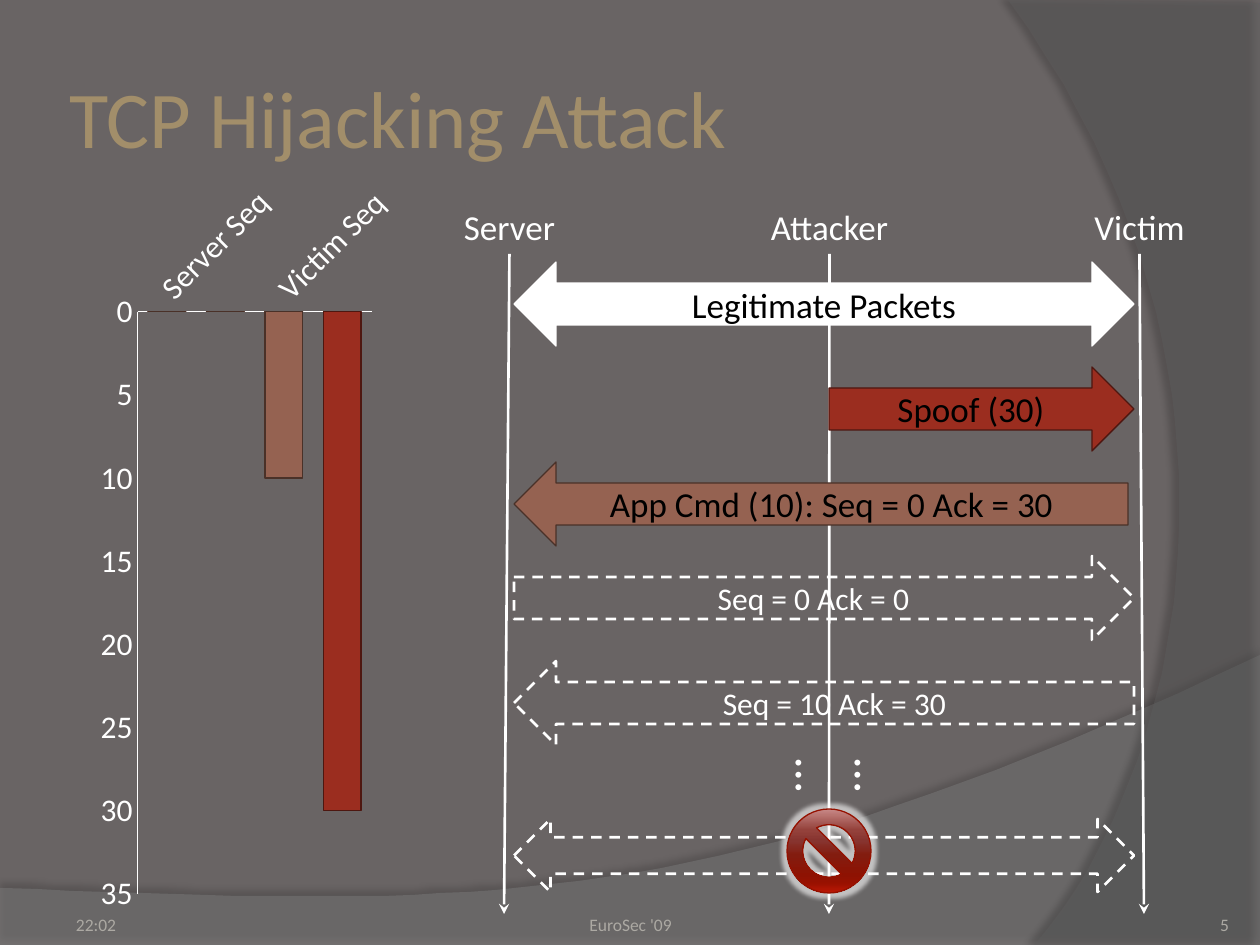
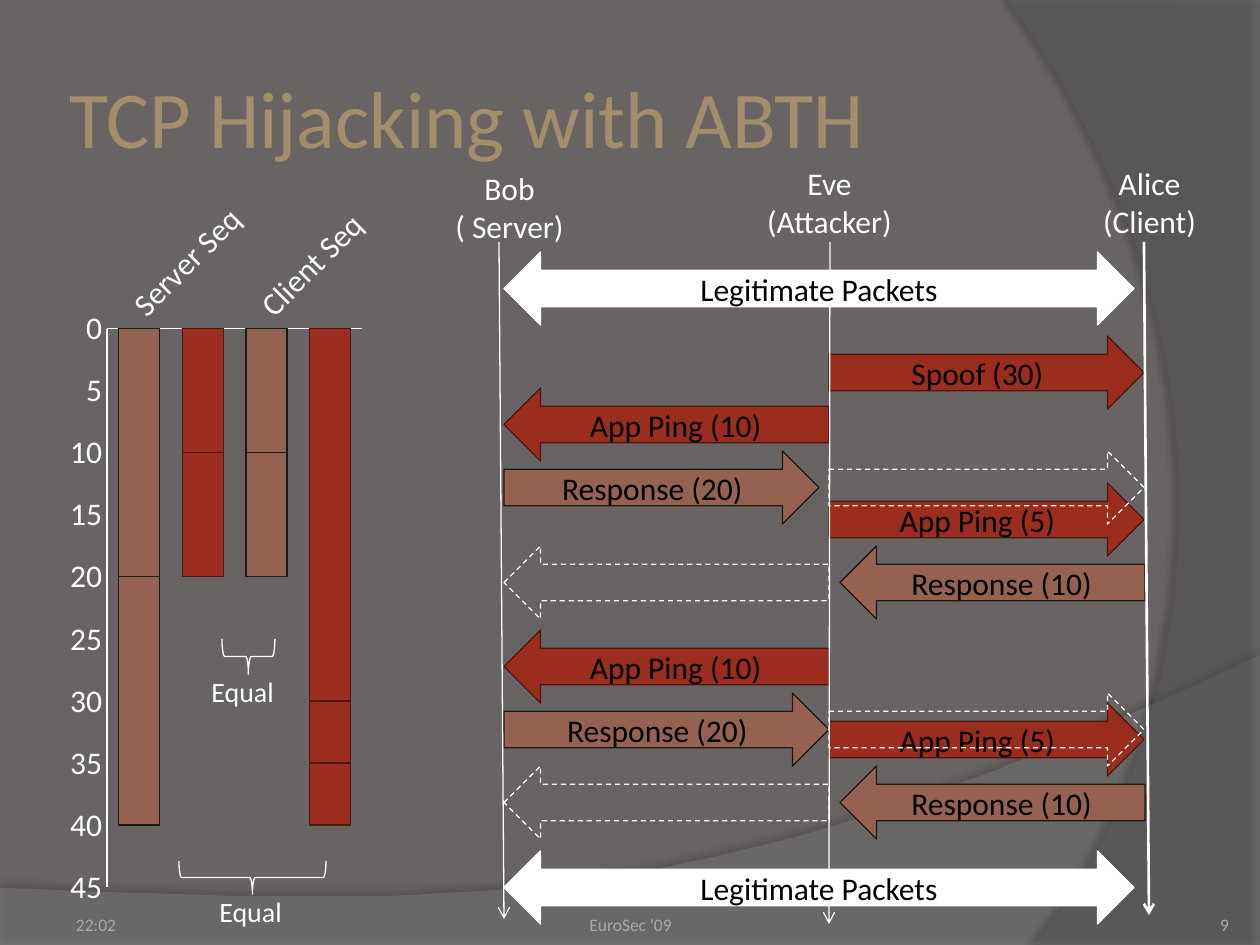
from lxml import etree
from pptx import Presentation
from pptx.chart.data import CategoryChartData as Data
from pptx.dml.color import RGBColor as Rgb
from pptx.enum.chart import XL_CHART_TYPE as Chart, XL_TICK_MARK as Tick
from pptx.enum.dml import MSO_LINE as Dash
from pptx.enum.shapes import MSO_CONNECTOR as Conn, MSO_SHAPE as Geo
from pptx.enum.text import MSO_ANCHOR as Anchor, MSO_AUTO_SIZE as Fit, PP_ALIGN as Align
from pptx.oxml import parse_xml
from pptx.oxml.ns import nsdecls, qn
from pptx.util import Pt

# Scale and shared looks
PX = 914400 / 126
FACE = "Calibri"
WHITE = Rgb(0xFF, 0xFF, 0xFF)
BLACK = Rgb(0x00, 0x00, 0x00)
BACK = Rgb(0x69, 0x64, 0x64)
GOLD = Rgb(0xA2, 0x8E, 0x6A)
GREY = Rgb(0xAC, 0xA9, 0xA3)
LOW = Rgb(0x7F, 0x7F, 0x7F)
SIDE = Rgb(0x5E, 0x5E, 0x5E)
RED = Rgb(0x9B, 0x2D, 0x1F)
MAROON = Rgb(0x4E, 0x17, 0x10)
BROWN = Rgb(0x95, 0x62, 0x51)
UMBER = Rgb(0x4A, 0x31, 0x28)
DARK = Rgb(0x1C, 0x19, 0x11)
SIGN = Rgb(0x95, 0x11, 0x00)
SHINE = [(0, "C88987"), (25, "94413B"), (38, "87342F"), (55, "831C0F"),
         (80, "8E1202"), (88, "981100"), (100, "BC1705")]

# Arrow styles: fill, line, line width, text colour
HOT = (RED, MAROON, 0.75, BLACK)
WARM = (BROWN, UMBER, 0.75, BLACK)
REPLY = (BROWN, DARK, 0.75, BLACK)
PLAIN = (WHITE, WHITE, 0.75, BLACK)
GHOST = (None, WHITE, 1.5, WHITE)
FAINT = (None, WHITE, 0.75, WHITE)

EAST, WEST, BOTH = Geo.RIGHT_ARROW, Geo.LEFT_ARROW, Geo.LEFT_RIGHT_ARROW


def emu(*vals):
    return [round(v * PX) for v in vals]


def put(obj, fmt):
    for key, val in fmt.items():
        setattr(obj, key, val)


def write(shape, text, size, color, align=Align.CENTER, **frame):
    tf = shape.text_frame
    tf.text = text
    put(tf, {"word_wrap": True, "auto_size": Fit.NONE, **frame})
    for par in tf.paragraphs:
        par.alignment = align
        put(par.font, {"name": FACE, "size": Pt(size)})
        par.font.color.rgb = color


def label(slide, box, text, size=18, color=WHITE, align=Align.CENTER, **frame):
    shape = slide.shapes.add_textbox(*emu(*box))
    write(shape, text, size, color, align, **frame)
    return shape


def paint(shape, fill, line, width):
    shape.shadow.inherit = False
    if fill is None:
        shape.fill.background()
    else:
        shape.fill.solid()
        shape.fill.fore_color.rgb = fill
    shape.line.color.rgb = line
    shape.line.width = Pt(width)


def arrow(slide, geo, box, style, text="", size=18):
    fill, line, width, color = style
    shape = slide.shapes.add_shape(geo, *emu(*box))
    paint(shape, fill, line, width)
    if fill is None:
        shape.line.dash_style = Dash.DASH
    if text:
        write(shape, text, size, color, vertical_anchor=Anchor.MIDDLE)


def lane(slide, start, end, width, tip, head=None):
    line = slide.shapes.add_connector(Conn.STRAIGHT, *emu(*start, *end))
    if head is not None:
        line.begin_connect(head, 2)
    line.line.color.rgb = WHITE
    line.line.width = Pt(width)
    etree.SubElement(line.line._get_or_add_ln(), qn("a:tailEnd"), type=tip)
    etree.SubElement(line._element.spPr, qn("a:effectLst"))


def curve(a, b, c, d, steps=40):
    for i in range(1, steps + 1):
        t = i / steps
        u = 1 - t
        yield tuple(u**3 * p + 3 * u * u * t * q + 3 * u * t * t * r + t**3 * s
                    for p, q, r, s in zip(a, b, c, d))


def band(slide, edge, bend, color, alpha, shade, dist, turn):
    pen = slide.shapes.build_freeform(*edge[0], scale=PX)
    pen.add_line_segments(edge[1:] + list(curve(edge[-1], *bend)), close=True)
    shape = pen.convert_to_shape()
    paint(shape, color, color, 0)
    shape.line.fill.background()
    tone = shape._element.spPr.find(qn("a:solidFill"))[0]
    etree.SubElement(tone, qn("a:alpha"), val=str(alpha * 1000))
    glow = shape._element.spPr.find(qn("a:effectLst"))
    glow.append(parse_xml(
        f'<a:outerShdw {nsdecls("a")} blurRad="{Pt(4)}" dist="{Pt(dist)}" '
        f'dir="{turn * 60000}" algn="ctr" rotWithShape="0"><a:srgbClr val="000000">'
        f'<a:alpha val="{shade * 1000}"/></a:srgbClr></a:outerShdw>'))


def page(deck, title, number):
    """Slide with backdrop, title and footers."""
    slide = deck.slides.add_slide(deck.slide_layouts[5])
    slide.background.fill.solid()
    slide.background.fill.fore_color.rgb = BACK
    band(slide, [(0, 888), (0, 946), (1260, 946), (1260, 655)],
         [(704, 919), (493, 906), (0, 888)], LOW, 45, 35, 3.5, 270)
    band(slide, [(1260, 3), (1260, 945), (1034, 945)],
         [(1178, 780), (1283, 378), (1008, 0)], SIDE, 40, 45, 4, 180)
    head = slide.shapes.title
    put(head, dict(zip(("left", "top", "width", "height"), emu(63, 38, 1029, 157))))
    pad = emu(6)[0]
    write(head, title, 46, GOLD, Align.LEFT, vertical_anchor=Anchor.MIDDLE,
          margin_left=pad, margin_right=pad, margin_top=pad, margin_bottom=pad)
    for left, width, text, align, gap in [
            (63, 294, "22:02", Align.LEFT, 13),
            (431, 399, "EuroSec '09", Align.CENTER, 0),
            (1124, 105, number, Align.RIGHT, 0)]:
        label(slide, (left, 885, width, 50), text, 10, GREY, align,
              vertical_anchor=Anchor.BOTTOM, margin_left=emu(gap)[0],
              margin_right=emu(gap)[0], margin_bottom=0)
    return slide


def bars(slide, box, plot, cats, rows, top):
    """Stacked columns hanging from zero; rows hold values, fill and line."""
    data = Data()
    data.categories = cats
    for i, (vals, _, _) in enumerate(rows, 1):
        data.add_series(f"Series {i}", vals)
    chart = slide.shapes.add_chart(Chart.COLUMN_STACKED, *emu(*box), data).chart
    put(chart, {"has_legend": False, "has_title": False})
    put(chart.font, {"name": FACE, "size": Pt(18)})
    chart.font.color.rgb = WHITE
    put(chart.plots[0], {"gap_width": 55, "overlap": 100, "vary_by_categories": False})
    for ser, (_, fill, line) in zip(chart.plots[0].series, rows):
        ser.format.fill.solid()
        ser.format.fill.fore_color.rgb = fill
        ser.format.line.color.rgb = line
        ser.format.line.width = Pt(0.75)
    put(chart.value_axis, {"reverse_order": True, "minimum_scale": 0,
                           "maximum_scale": top, "major_unit": 5})
    for axis in (chart.category_axis, chart.value_axis):
        put(axis, {"has_major_gridlines": False, "major_tick_mark": Tick.NONE,
                   "minor_tick_mark": Tick.NONE})
        axis.format.line.color.rgb = WHITE
        axis.format.line.width = Pt(0.75)
    # Fix the inner plot area
    area = chart._chartSpace.find(".//" + qn("c:plotArea"))
    for old in area.findall(qn("c:layout")):
        area.remove(old)
    marks = "".join(f'<c:{k} val="{v}"/>' for k, v in zip("xywh", plot))
    area.insert(0, parse_xml(
        f'<c:layout {nsdecls("c")}><c:manualLayout><c:layoutTarget val="inner"/>'
        f'<c:xMode val="edge"/><c:yMode val="edge"/>{marks}</c:manualLayout></c:layout>'))


def ban(slide, box):
    shape = slide.shapes.add_shape(Geo.NO_SYMBOL, *emu(*box))
    paint(shape, RED, SIGN, 0.75)
    shape.fill.gradient()
    shape.fill.gradient_angle = 270
    props = shape._element.spPr
    stops = props.find(".//" + qn("a:gsLst"))
    for old in list(stops):
        stops.remove(old)
    for pos, color in SHINE:
        stop = etree.SubElement(stops, qn("a:gs"), pos=str(pos * 1000))
        etree.SubElement(stop, qn("a:srgbClr"), val=color)
    props.find(qn("a:effectLst")).append(parse_xml(
        f'<a:glow {nsdecls("a")} rad="{Pt(5)}"><a:srgbClr val="FFFFFF">'
        '<a:alpha val="60000"/></a:srgbClr></a:glow>'))


def brace(slide, box, note):
    shape = slide.shapes.add_shape(Geo.LEFT_BRACE, *emu(*box))
    paint(shape, None, WHITE, 0.75)
    shape.rotation = 270
    label(slide, note, "Equal", 16, align=Align.LEFT, word_wrap=False)


def attack(deck):
    slide = page(deck, "TCP Hijacking Attack", "5")
    # Hosts and their time lines
    for left, width, name, x, end in [(431, 157, "Server", 509, 504),
                                      (1061, 157, "Victim", 1139, 1144),
                                      (735, 189, "Attacker", 829, 829)]:
        host = label(slide, (left, 199, width, 55), name, 20)
        lane(slide, (x, 254), (end, 914), 1.5, "stealth", host)
    bars(slide, (95, 168, 304, 756), (0.14, 0.19, 0.77, 0.77),
         ["Server Seq", "Server Ack", "Victim Seq", "Victim Ack"],
         [((0, 0, 0, 30), RED, MAROON), ((0, 0, 10, 0), BROWN, UMBER)], 35)
    # Packets
    for geo, left, top, width, style, text, size in [
            (WEST, 514, 462, 614, WARM, "App Cmd (10): Seq = 0 Ack = 30", 20),
            (EAST, 514, 556, 620, GHOST, "Seq = 0 Ack = 0", 18),
            (EAST, 829, 367, 305, HOT, "Spoof (30)", 20),
            (BOTH, 514, 262, 620, PLAIN, "Legitimate Packets", 20),
            (WEST, 514, 661, 620, GHOST, "Seq = 10 Ack = 30", 18)]:
        arrow(slide, geo, (left, top, width, 84), style, text, size)
    dots = label(slide, (766, 746, 144, 62), "…\n…", 28, align=Align.LEFT)
    dots.text_frame._txBody.bodyPr.set("vert", "eaVert")
    arrow(slide, BOTH, (514, 819, 620, 73), GHOST)
    ban(slide, (787, 809, 84, 84))


def abth(deck):
    slide = page(deck, "TCP Hijacking with ABTH", "9")
    red, brown = (RED, MAROON), (BROWN, DARK)
    # Each step adds one value to one of the four columns
    steps = [(3, 30, red), (1, 10, red), (0, 20, brown), (1, 10, red), (0, 20, brown),
             (3, 5, red), (2, 10, brown), (3, 5, red), (2, 10, brown)]
    rows = [([val if i == col else 0 for i in range(4)], *tone)
            for col, val, tone in steps]
    bars(slide, (63, 189, 315, 735), (0.14, 0.19, 0.81, 0.76),
         ["Server Seq", "Server Ack", "Client Seq", "Client Ack"], rows, 45)
    for left, top, width, name in [(431, 163, 157, "Bob\n( Server)"),
                                   (1071, 158, 157, "Alice (Client)"),
                                   (735, 158, 189, "Eve (Attacker)")]:
        label(slide, (left, top, width, 89), name)
    # Packets
    for geo, left, top, width, style, text in [
            (EAST, 829, 336, 315, HOT, "Spoof (30)"),
            (EAST, 829, 703, 315, HOT, "App Ping (5)"),
            (EAST, 829, 483, 315, HOT, "App Ping (5)"),
            (WEST, 504, 388, 325, HOT, "App Ping (10)"),
            (EAST, 504, 451, 315, REPLY, "Response (20)"),
            (WEST, 840, 546, 305, REPLY, "Response (10)"),
            (WEST, 504, 630, 325, HOT, "App Ping (10)"),
            (EAST, 504, 693, 325, REPLY, "Response (20)"),
            (WEST, 840, 766, 305, REPLY, "Response (10)")]:
        arrow(slide, geo, (left, top, width, 73), style, text)
    brace(slide, (231, 630, 35, 53), (199, 668, 97, 47))
    brace(slide, (236, 804, 33, 147), (207, 888, 97, 47))
    # Time lines
    for x, end, low, width in [(499, 504, 919, 0.75), (830, 829, 924, 0.75),
                               (1144, 1149, 915, 1.5)]:
        lane(slide, (x, 242), (end, low), width, "arrow")
    for top in (252, 851):
        arrow(slide, BOTH, (504, top, 630, 73), PLAIN, "Legitimate Packets")
    # Packets that are dropped
    for geo, left, top, width in [(EAST, 829, 451, 315), (EAST, 829, 693, 315),
                                  (WEST, 504, 766, 325), (WEST, 504, 546, 325)]:
        arrow(slide, geo, (left, top, width, 73), FAINT)


def main():
    deck = Presentation()
    deck.slide_width, deck.slide_height = emu(1260, 945)
    attack(deck)
    abth(deck)
    deck.save("out.pptx")


if __name__ == "__main__":
    main()
